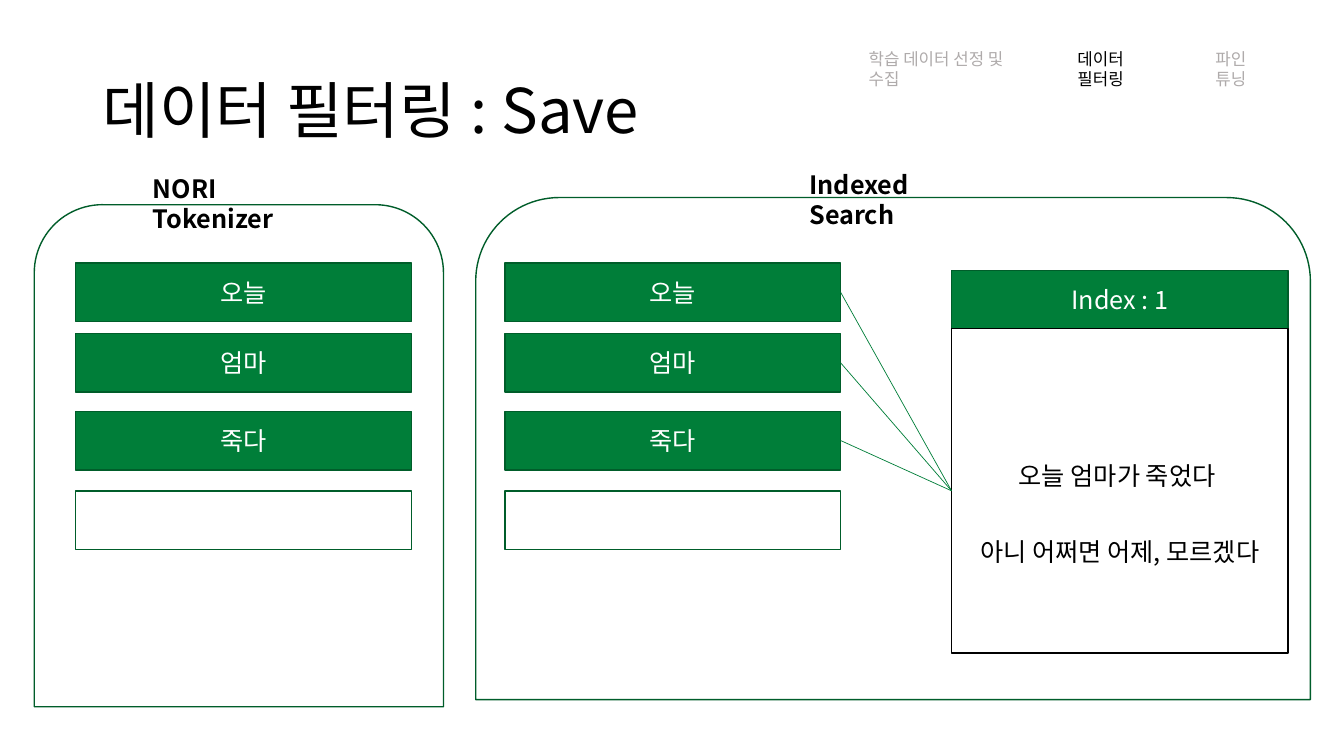
from lxml import etree
from pptx import Presentation
from pptx.dml.color import RGBColor
from pptx.enum import shapes, text
from pptx.oxml.ns import qn
from pptx.util import Pt

FONT = "Noto Sans CJK KR"
GREEN = RGBColor(0x00, 0x7E, 0x39)
DARK = RGBColor(0x00, 0x5D, 0x2A)
GRAY = RGBColor(0xAF, 0xAB, 0xAB)
BLACK = RGBColor(0, 0, 0)
WHITE = RGBColor(255, 255, 255)
RECT = shapes.MSO_SHAPE.RECTANGLE
ROUND = shapes.MSO_SHAPE.ROUND_2_SAME_RECTANGLE
LEFT, CENTER = text.PP_ALIGN.LEFT, text.PP_ALIGN.CENTER
TOP, MIDDLE = text.MSO_ANCHOR.TOP, text.MSO_ANCHOR.MIDDLE


def write(shape, lines, size, color, bold=False, align=LEFT, anchor=TOP, space=None):
    frame = shape.text_frame
    frame.word_wrap = True
    frame.vertical_anchor = anchor
    frame.text = "\n".join(lines)
    for para in frame.paragraphs:
        para.alignment = align
        para.line_spacing = space
        for run in para.runs:
            for key, value in {"name": FONT, "size": Pt(size), "bold": bold}.items():
                setattr(run.font, key, value)
            run.font.color.rgb = color
            east = etree.SubElement(run.font._element, qn("a:ea"))
            east.set("typeface", FONT)


def draw(kind, box, fill, line):
    shape = slide.shapes.add_shape(kind, *map(Pt, box))
    shape.shadow.inherit = False
    if fill is None:
        shape.fill.background()
    else:
        shape.fill.solid()
        shape.fill.fore_color.rgb = fill
    shape.line.color.rgb = line
    shape.line.width = Pt(1)
    return shape


deck = Presentation()
deck.slide_width, deck.slide_height = Pt(960), Pt(540)
slide = deck.slides.add_slide(deck.slide_layouts[5])

title = slide.shapes.title
place = {"left": 66, "top": 28.8, "width": 828, "height": 104.4}
for key, value in place.items():
    setattr(title, key, Pt(value))
write(title, ["데이터 필터링 : Save"], 44, BLACK, anchor=MIDDLE, space=0.9)

words = {"오늘": 187.9, "엄마": 238.3, "죽다": 293.8}
wide, high, last = 239.8, 41.8, 350.6
panels = [
    ((24.5, 146.2, 292.3, 358.6), 54),
    ((339.8, 141.1, 596.2, 358.6), 360.7),
]
for box, left in panels:
    draw(ROUND, box, WHITE, DARK)
    for word, top in words.items():
        bar = draw(RECT, (left, top, wide, high), GREEN, DARK)
        write(bar, [word], 18, WHITE, align=CENTER, anchor=MIDDLE)
    draw(RECT, (left, last, wide, high), None, DARK)

edge, top, span = 679.7, 193, 240.5
head = draw(RECT, (edge, top, span, high), GREEN, DARK)
write(head, ["Index : 1"], 18, WHITE, align=CENTER, anchor=MIDDLE)
page = draw(RECT, (edge, top + high, span, 231.8), None, BLACK)
lines = ["오늘 엄마가 죽었다 ", "아니 어쩌면 어제, 모르겠다"]
write(page, lines, 18, BLACK, align=CENTER, anchor=MIDDLE, space=2.5)

for top in words.values():
    ends = (left + wide, top + high / 2, edge, last)
    link = slide.shapes.add_connector(shapes.MSO_CONNECTOR.STRAIGHT, *map(Pt, ends))
    link.line.color.rgb = GREEN
    link.line.width = Pt(0.5)
    etree.SubElement(link._element.spPr, qn("a:effectLst"))

labels = [
    ("NORI Tokenizer", (102.2, 120.2, 142.6, 28.8), 18, BLACK, True),
    ("Indexed Search", (571, 117.4, 130.3, 28.8), 18, BLACK, True),
    ("학습 데이터 선정 및 수집", (613.4, 31, 131, 21.6), 12, GRAY, False),
    ("데이터 필터링", (762.5, 31, 80.6, 21.6), 12, BLACK, False),
    ("파인 튜닝", (861.1, 31, 59, 21.6), 12, GRAY, False),
]
for label, box, size, color, bold in labels:
    note = slide.shapes.add_textbox(*map(Pt, box))
    write(note, [label], size, color, bold)

deck.save("out.pptx")
